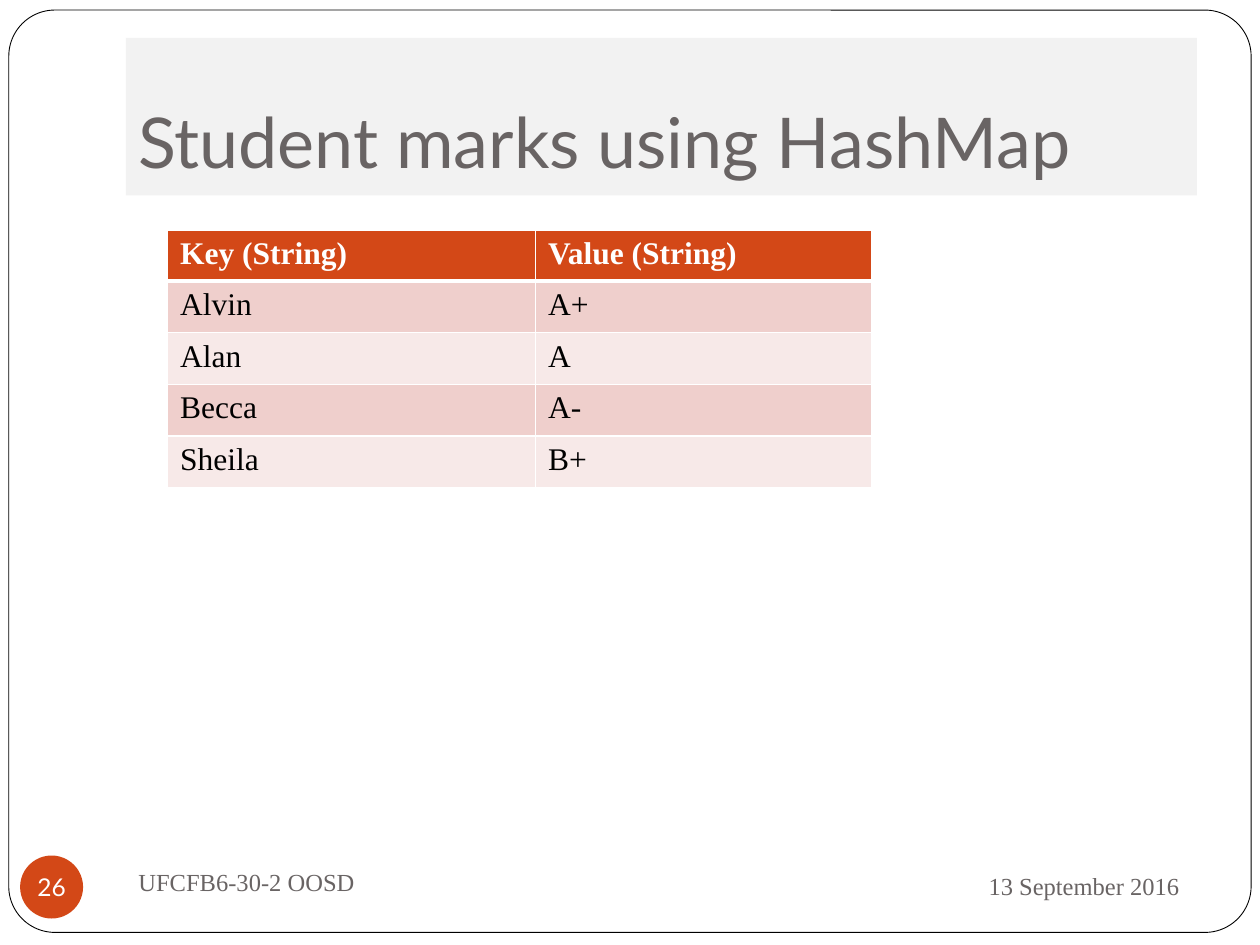
from dataclasses import dataclass
from typing import Optional

from pptx import Presentation
from pptx.dml.color import RGBColor
from pptx.enum.shapes import MSO_SHAPE as Preset
from pptx.enum.text import MSO_ANCHOR as Anchor, PP_ALIGN as Align
from pptx.oxml import parse_xml
from pptx.oxml.ns import nsdecls
from pptx.util import Inches, Pt

COLORS = {
    "white": "FFFFFF",
    "black": "000000",
    "panel": "F2F2F2",
    "grey": "696464",
    "accent": "D34817",
    "band_dark": "EFCFCC",
    "band_light": "F7E9E8",
}
SANS = "Lato"
SERIF = "Times New Roman"


@dataclass
class Block:
    box: tuple[float, float, float, float]
    preset: Optional[Preset] = None
    fill: str = "white"
    line: Optional[str] = None
    text: str = ""
    size: int = 14
    font: str = SERIF
    color: str = "grey"
    align: Align = Align.LEFT
    anchor: Anchor = Anchor.MIDDLE
    insets: tuple[float, float, float, float] = (0.1, 0.05, 0.1, 0.05)
    wrap: bool = True


def rgb(name: str) -> RGBColor:
    return RGBColor.from_string(COLORS[name])


def style_text(frame, size: int, font: str, color: str, bold: bool = False) -> None:
    for run in frame.paragraphs[0].runs:
        run.font.size = Pt(size)
        run.font.name = font
        run.font.bold = bold
        run.font.color.rgb = rgb(color)


def draw_block(slide, block: Block):
    box = [Inches(length) for length in block.box]
    if block.preset is None:
        shape = slide.shapes.add_textbox(*box)
    else:
        shape = slide.shapes.add_shape(block.preset, *box)
        shape.shadow.inherit = False
        shape.fill.solid()
        shape.fill.fore_color.rgb = rgb(block.fill)
        if block.line:
            shape.line.color.rgb = rgb(block.line)
            shape.line.width = Pt(0.5)
        else:
            shape.line.fill.background()
    if block.text:
        frame = shape.text_frame
        frame.text = block.text
        frame.word_wrap = block.wrap
        frame.vertical_anchor = block.anchor
        (frame.margin_left, frame.margin_top,
         frame.margin_right, frame.margin_bottom) = map(Inches, block.insets)
        frame.paragraphs[0].alignment = block.align
        style_text(frame, block.size, block.font, block.color)
    return shape


def add_border(cell, side: str, points: int) -> None:
    cell._tc.get_or_add_tcPr().append(parse_xml(
        f'<a:ln{side} {nsdecls("a")} w="{Pt(points)}"><a:solidFill>'
        f'<a:srgbClr val="{COLORS["white"]}"/></a:solidFill></a:ln{side}>'))


def draw_marks(slide, marks: list[tuple[str, str]]) -> None:
    widths = (2.92, 2.67)
    heights = [0.38] + [0.41] * (len(marks) - 1)
    table = slide.shapes.add_table(
        len(marks), len(widths), Inches(1.33), Inches(1.83),
        Inches(sum(widths)), Inches(sum(heights))).table
    for column, width in zip(table.columns, widths):
        column.width = Inches(width)
    for index, (entry, height) in enumerate(zip(marks, heights)):
        table.rows[index].height = Inches(height)
        header = index == 0
        fill = "accent" if header else ("band_light", "band_dark")[index % 2]
        for cell, text in zip(table.rows[index].cells, entry):
            for side in "LRTB":
                heavy = (index, side) in ((0, "B"), (1, "T"))
                add_border(cell, side, 3 if heavy else 1)
            cell.fill.solid()
            cell.fill.fore_color.rgb = rgb(fill)
            cell.text_frame.text = text
            style_text(cell.text_frame, 18, SERIF,
                       "white" if header else "black", header)


FRAME = Block((0.07, 0.08, 9.86, 7.32), Preset.ROUNDED_RECTANGLE, line="black")
BLOCKS = [
    Block((1, 0.3, 8.5, 1.25), Preset.RECTANGLE, "panel",
          text="Student marks using HashMap", size=40, font=SANS,
          anchor=Anchor.BOTTOM, insets=(0.1, 0.05, 0.1, 0.1)),
    Block((6.75, 6.77, 2.71, 0.52), text="13 September 2016", align=Align.RIGHT),
    Block((1, 6.75, 4.33, 0.5), text="UFCFB6-30-2 OOSD"),
    Block((0.16, 6.79, 0.5, 0.5), Preset.OVAL, "accent", text="26", font=SANS,
          color="white", align=Align.CENTER, insets=(0, 0, 0, 0), wrap=False),
]
MARKS = [
    ("Key (String)", "Value (String)"),
    ("Alvin", "A+"),
    ("Alan", "A"),
    ("Becca", "A-"),
    ("Sheila", "B+"),
]

deck = Presentation()
deck.slide_width = Inches(10)
deck.slide_height = Inches(7.5)
marks_slide = deck.slides.add_slide(deck.slide_layouts[6])

frame_outline = draw_block(marks_slide, FRAME)
frame_outline.adjustments[0] = 0.05
for block in BLOCKS:
    draw_block(marks_slide, block)
draw_marks(marks_slide, MARKS)

deck.save("out.pptx")
